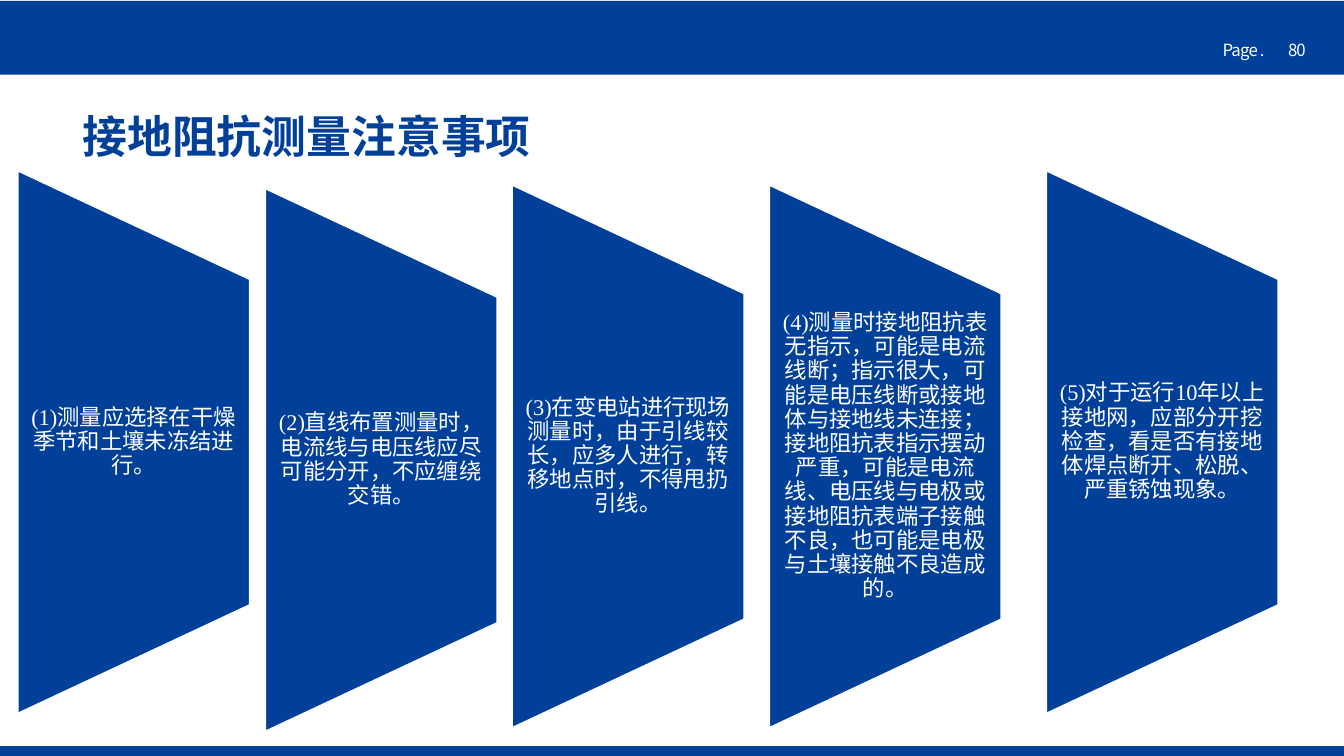
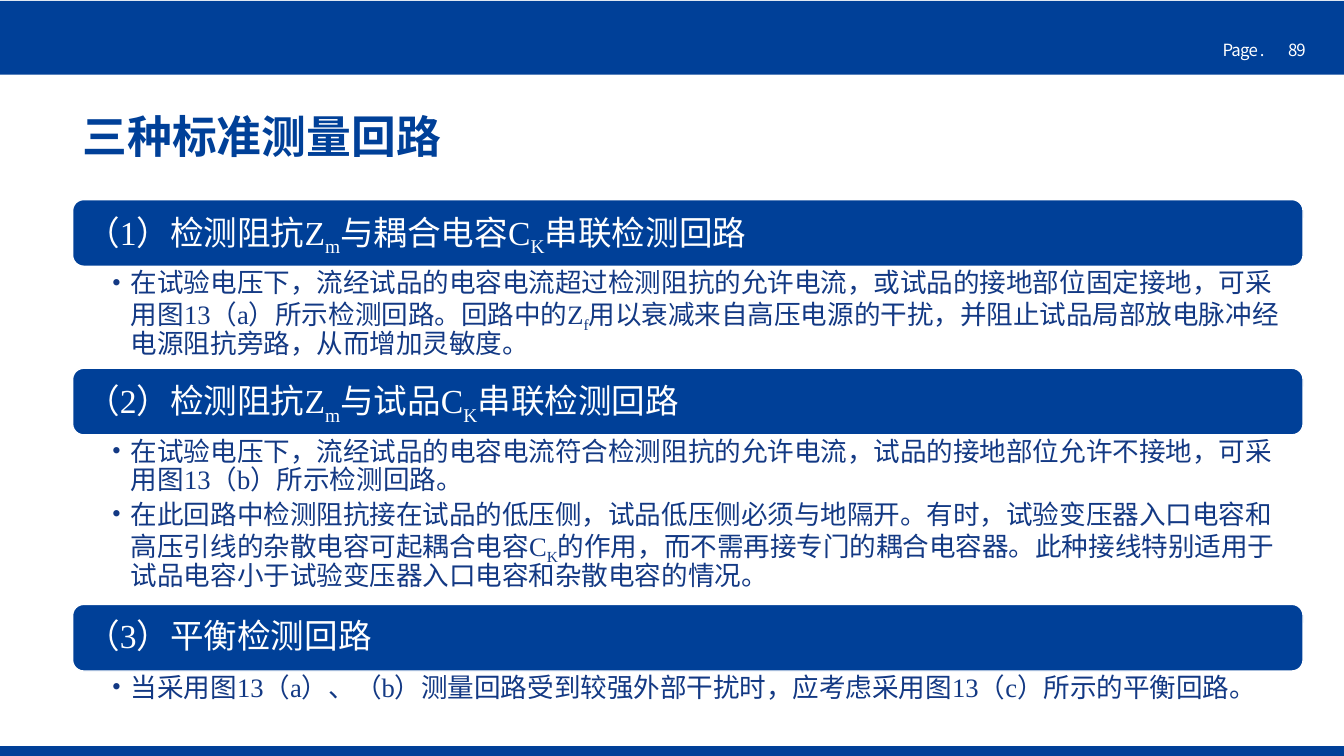
from dataclasses import dataclass

from lxml.etree import SubElement
from pptx import Presentation
from pptx.dml.color import RGBColor
from pptx.enum.shapes import MSO_SHAPE
from pptx.enum.text import MSO_ANCHOR, MSO_AUTO_SIZE, PP_ALIGN
from pptx.oxml.ns import qn
from pptx.util import Cm, Pt

# Shared look
BLUE, NAVY, WHITE = "004098", "133984", "FFFFFF"
SANS, SERIF = "Noto Sans CJK SC", "Times New Roman"
SLIDE_WIDTH, SLIDE_HEIGHT = 33.87, 19.05
LEFT, CONTENT_WIDTH = 1.83, 31.01

# Trapezoid columns
COLUMN_WIDTH, COLUMN_HEIGHT, TEXT_HEIGHT = 5.84, 13.67, 8.2

# Stacked headings and lists
STACK_TOP, HEADING_HEIGHT = 5.03, 1.68
LIST_INDENT = 0.48


@dataclass(frozen=True)
class Style:
    size: float
    color: str
    font: str = SERIF
    bold: bool = False
    spacing: int = 0


@dataclass(frozen=True)
class Column:
    left: float
    middle: float
    text: str


@dataclass(frozen=True)
class Section:
    """Pieces of each text alternate between normal and subscript."""
    heading: tuple[str, ...]
    items: tuple[tuple[str, ...], ...]
    list_height: float


TITLE = Style(32, BLUE, SANS, bold=True)
PAGE = Style(12, WHITE, SANS, spacing=-60)
COLUMN = Style(16, WHITE)
HEADING = Style(24, WHITE)
ITEM = Style(19, NAVY)

COLUMNS = (
    Column(0.45, 11.14, "(1)测量应选择在干燥季节和土壤未冻结进行。"),
    Column(6.69, 11.59, "(2)直线布置测量时，电流线与电压线应尽可能分开，不应缠绕交错。"),
    Column(12.91, 11.5, "(3)在变电站进行现场测量时，由于引线较长，应多人进行，"
                        "转移地点时，不得甩扔引线。"),
    Column(19.39, 11.5, "(4)测量时接地阻抗表无指示，可能是电流线断；指示很大，"
                        "可能是电压线断或接地体与接地线未连接；接地阻抗表指示摆动严重，"
                        "可能是电流线、电压线与电极或接地阻抗表端子接触不良，"
                        "也可能是电极与土壤接触不良造成的。"),
    Column(26.37, 11.14, "(5)对于运行10年以上接地网，应部分开挖检查，"
                         "看是否有接地体焊点断开、松脱、严重锈蚀现象。"),
)

SECTIONS = (
    Section(
        ("（1）检测阻抗Z", "m", "与耦合电容C", "K", "串联检测回路"),
        (("在试验电压下，流经试品的电容电流超过检测阻抗的允许电流，"
          "或试品的接地部位固定接地，可采用图13（a）所示检测回路。回路中的Z", "f",
          "用以衰减来自高压电源的干扰，并阻止试品局部放电脉冲经电源阻抗旁路，"
          "从而增加灵敏度。"),),
        2.57),
    Section(
        ("（2）检测阻抗Z", "m", "与试品C", "K", "串联检测回路"),
        (("在试验电压下，流经试品的电容电流符合检测阻抗的允许电流，"
          "试品的接地部位允许不接地，可采用图13（b）所示检测回路。",),
         ("在此回路中检测阻抗接在试品的低压侧，试品低压侧必须与地隔开。"
          "有时，试验变压器入口电容和高压引线的杂散电容可起耦合电容C", "K",
          "的作用，而不需再接专门的耦合电容器。此种接线特别适用于试品电容"
          "小于试验变压器入口电容和杂散电容的情况。")),
        4.27),
    Section(
        ("（3）平衡检测回路",),
        (("当采用图13（a）、（b）测量回路受到较强外部干扰时，"
          "应考虑采用图13（c）所示的平衡回路。",),),
        1.09),
)


def rgb(color: str) -> RGBColor:
    return RGBColor.from_string(color)


def place(shape, left: float, top: float, width: float, height: float) -> None:
    shape.left, shape.top = Cm(left), Cm(top)
    shape.width, shape.height = Cm(width), Cm(height)


def add_block(slide, kind, left: float, top: float, width: float,
              height: float, outlined: bool = False):
    shape = slide.shapes.add_shape(kind, Cm(left), Cm(top), Cm(width), Cm(height))
    shape.shadow.inherit = False
    shape.fill.solid()
    shape.fill.fore_color.rgb = rgb(BLUE)
    if outlined:
        shape.line.color.rgb = rgb(WHITE)
        shape.line.width = Pt(1)
    else:
        shape.line.fill.background()
    return shape


def add_text_box(slide, left: float, top: float, width: float, height: float):
    return slide.shapes.add_textbox(Cm(left), Cm(top), Cm(width), Cm(height))


def set_frame(shape, anchor, margins: tuple[float, float, float, float],
              wrap: bool = True):
    frame = shape.text_frame
    frame.word_wrap = wrap
    frame.auto_size = MSO_AUTO_SIZE.NONE
    frame.vertical_anchor = anchor
    (frame.margin_left, frame.margin_top,
     frame.margin_right, frame.margin_bottom) = map(Cm, margins)
    return frame


def write(paragraph, pieces: tuple[str, ...], style: Style,
          alignment=PP_ALIGN.LEFT, line_spacing: float = 0.9) -> None:
    paragraph.alignment = alignment
    paragraph.line_spacing = line_spacing
    paragraph.space_before = Pt(0)
    # Keep punctuation inside the text area
    paragraph._p.get_or_add_pPr().set("hangingPunct", "0")
    for index, piece in enumerate(pieces):
        run = paragraph.add_run()
        run.text = piece
        run.font.size = Pt(style.size)
        run.font.bold = style.bold
        run.font.color.rgb = rgb(style.color)
        run.font.name = style.font
        properties = run.font._element
        SubElement(properties, qn("a:ea")).set("typeface", SANS)
        if style.spacing:
            properties.set("spc", str(style.spacing))
        if index % 2:
            properties.set("baseline", "-25000")


def add_bullet(paragraph) -> None:
    properties = paragraph._p.get_or_add_pPr()
    properties.set("marL", str(Cm(LIST_INDENT)))
    properties.set("indent", str(-Cm(LIST_INDENT)))
    SubElement(properties, qn("a:buFont")).set("typeface", SERIF)
    SubElement(properties, qn("a:buChar")).set("char", "•")


def add_page(presentation, layout_name: str, title: str, number: str):
    """Start a slide with its bands, page number and title."""
    layout = presentation.slide_layouts.get_by_name(layout_name)
    slide = presentation.slides.add_slide(layout)
    for top, height in ((0.02, 1.86), (18.8, 0.25)):
        add_block(slide, MSO_SHAPE.RECTANGLE, 0, top, SLIDE_WIDTH, height)
    for text, left, width in (("Page .", 30.56, 1.6), (number, 32.21, 1.02)):
        box = add_text_box(slide, left, 0.86, width, 0.76)
        frame = set_frame(box, MSO_ANCHOR.TOP, (0.25, 0.13, 0.25, 0.13), wrap=False)
        write(frame.paragraphs[0], (text,), PAGE, line_spacing=1.0)
    place(slide.shapes.title, LEFT, 2.7, CONTENT_WIDTH, 1.6)
    frame = set_frame(slide.shapes.title, MSO_ANCHOR.MIDDLE, (0.25, 0.13, 0.25, 0.13))
    write(frame.paragraphs[0], (title,), TITLE)
    return slide


def add_column(slide, column: Column) -> None:
    # The trapezoid is drawn lying down, then turned about its centre
    center = column.left + COLUMN_WIDTH / 2
    trapezoid = add_block(slide, MSO_SHAPE.FLOWCHART_MANUAL_OPERATION,
                          center - COLUMN_HEIGHT / 2, column.middle - COLUMN_WIDTH / 2,
                          COLUMN_HEIGHT, COLUMN_WIDTH, outlined=True)
    trapezoid.rotation = 270
    box = add_text_box(slide, column.left, column.middle - TEXT_HEIGHT / 2,
                       COLUMN_WIDTH, TEXT_HEIGHT)
    frame = set_frame(box, MSO_ANCHOR.MIDDLE, (0.28, 0, 0.28, 0))
    write(frame.paragraphs[0], (column.text,), COLUMN, PP_ALIGN.CENTER)


def add_section(slide, section: Section, placeholder, top: float) -> float:
    """Draw a heading bar with its list and return the bottom edge."""
    bar = add_block(slide, MSO_SHAPE.ROUNDED_RECTANGLE, LEFT, top,
                    CONTENT_WIDTH, HEADING_HEIGHT, outlined=True)
    frame = set_frame(bar, MSO_ANCHOR.MIDDLE, (0.26, 0.25, 0.25, 0.25))
    write(frame.paragraphs[0], section.heading, HEADING)

    list_top = top + HEADING_HEIGHT
    place(placeholder, LEFT, list_top, CONTENT_WIDTH, section.list_height)
    frame = set_frame(placeholder, MSO_ANCHOR.TOP, (0.99, 0.08, 0.48, 0.08))
    for index, item in enumerate(section.items):
        paragraph = frame.add_paragraph() if index else frame.paragraphs[0]
        add_bullet(paragraph)
        write(paragraph, item, ITEM)
        paragraph.space_after = Pt(4)
    return list_top + section.list_height


def main() -> None:
    presentation = Presentation()
    presentation.slide_width = Cm(SLIDE_WIDTH)
    presentation.slide_height = Cm(SLIDE_HEIGHT)

    # Precautions in five columns
    slide = add_page(presentation, "Title Only", "接地阻抗测量注意事项", "80")
    for column in COLUMNS:
        add_column(slide, column)

    # Three circuits, one list placeholder each
    slide = add_page(presentation, "Comparison", "三种标准测量回路", "89")
    top = STACK_TOP
    for index, section in enumerate(SECTIONS, start=1):
        top = add_section(slide, section, slide.placeholders[index], top)
    unused = slide.placeholders[len(SECTIONS) + 1]._element
    unused.getparent().remove(unused)

    presentation.save("out.pptx")


if __name__ == "__main__":
    main()
